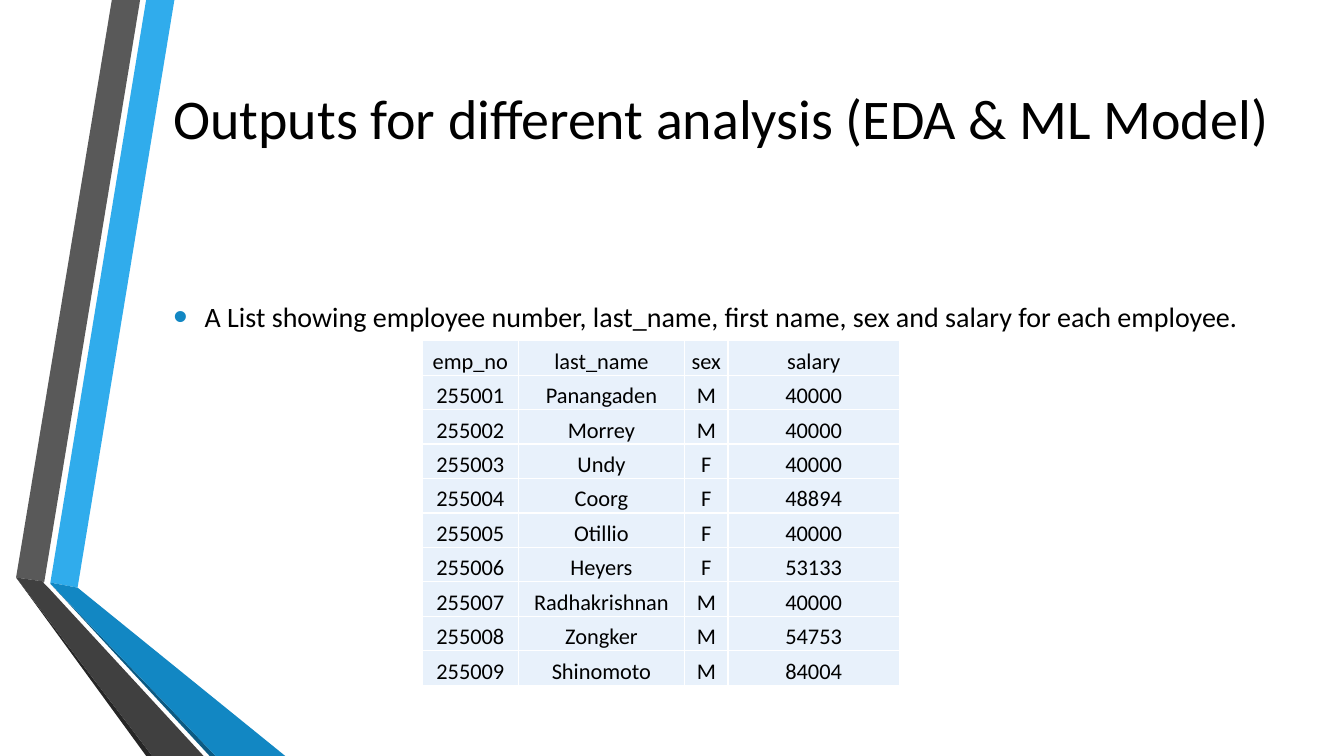
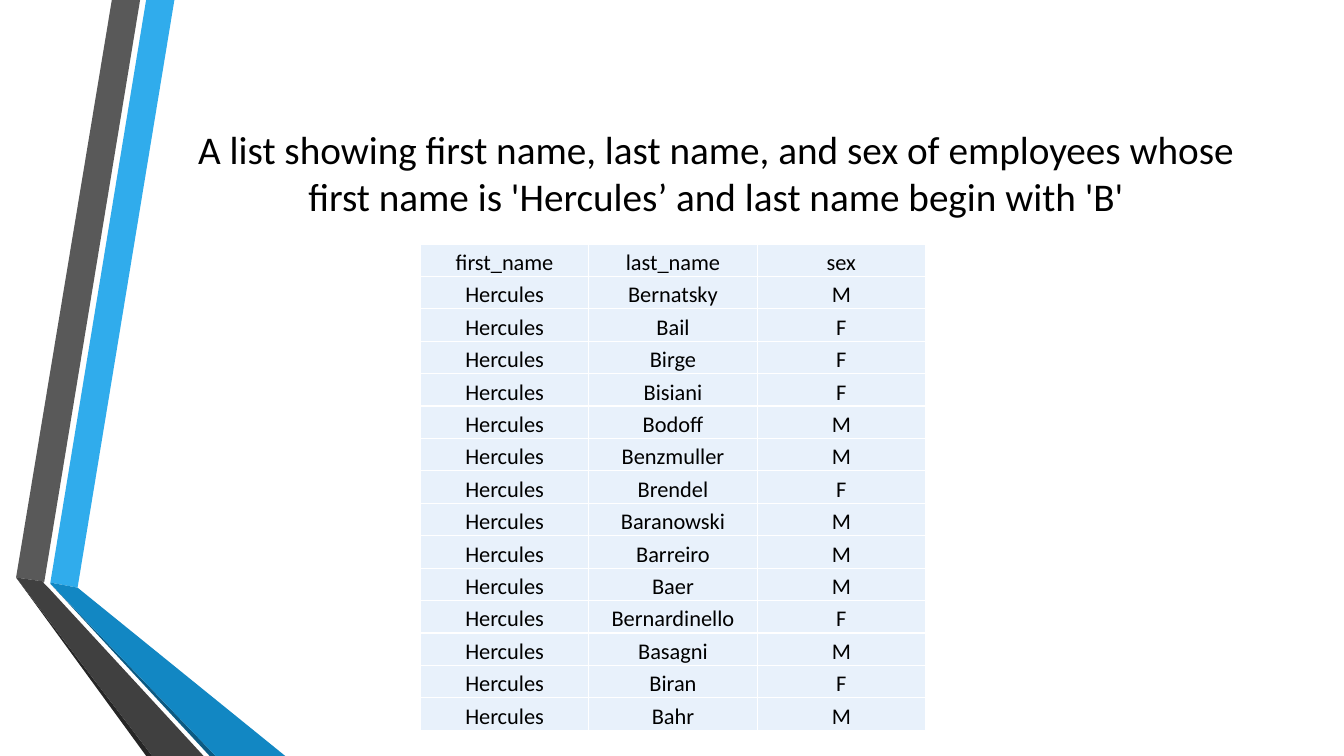
from dataclasses import dataclass

from lxml import etree
from pptx import Presentation
from pptx.dml.color import RGBColor
from pptx.enum.text import MSO_ANCHOR, MSO_AUTO_SIZE, PP_ALIGN
from pptx.oxml import parse_xml
from pptx.oxml.ns import nsdecls, qn
from pptx.util import Pt

LEFT, CENTER = PP_ALIGN.LEFT, PP_ALIGN.CENTER
TOP, MIDDLE, BOTTOM = MSO_ANCHOR.TOP, MSO_ANCHOR.MIDDLE, MSO_ANCHOR.BOTTOM
NO_FIT = MSO_AUTO_SIZE.NONE
TITLE_AND_CONTENT, TITLE_ONLY = 1, 5
EMU_PER_PX = 9144  # 100 px to the inch


@dataclass(frozen=True)
class Theme:
    font: str = "Calibri"
    text: str = "000000"
    accent: str = "1287C3"
    cell: str = "E8F1FB"
    border: str = "FFFFFF"
    border_pt: int = 1
    title_pt: int = 40
    long_title_pt: int = 28
    body_pt: int = 20
    table_pt: int = 16


THEME = Theme()
PAGE_SIZE = (1333, 750)

RIBBONS = [
    ("30ACEC", [(50, 578), (77, 583), (173, 0), (145, 0)]),
    ("595959", [(139, 0), (111, 0), (16, 573), (44, 577)]),
    ("262626", [(16, 573), (145, 750), (151, 750)]),
    ("0C5A82", [(50, 579), (208, 750), (214, 750)]),
    (THEME.accent, [(50, 579), (214, 750), (283, 750), (77, 583), (50, 578)]),
    ("404040", [(202, 750), (48, 583), (43, 578), (44, 577), (16, 573), (151, 750)]),
]

SALARIES = [
    ("emp_no", "last_name", "sex", "salary"),
    ("255001", "Panangaden", "M", "40000"),
    ("255002", "Morrey", "M", "40000"),
    ("255003", "Undy", "F", "40000"),
    ("255004", "Coorg", "F", "48894"),
    ("255005", "Otillio", "F", "40000"),
    ("255006", "Heyers", "F", "53133"),
    ("255007", "Radhakrishnan", "M", "40000"),
    ("255008", "Zongker", "M", "54753"),
    ("255009", "Shinomoto", "M", "84004"),
]

HERCULES = [
    ("Bernatsky", "M"), ("Bail", "F"), ("Birge", "F"), ("Bisiani", "F"),
    ("Bodoff", "M"), ("Benzmuller", "M"), ("Brendel", "F"), ("Baranowski", "M"),
    ("Barreiro", "M"), ("Baer", "M"), ("Bernardinello", "F"), ("Basagni", "M"),
    ("Biran", "F"), ("Bahr", "M"),
]

PAGES = [
    {
        "title": "Outputs for different analysis (EDA & ML Model)",
        "title_box": (162, 61, 1159, 111),
        "title_pt": THEME.title_pt,
        "align": LEFT,
        "bullet": "A List showing employee number, last_name, first name, "
                  "sex and salary for each employee.",
        "bullet_box": (162, 292, 1096, 342),
        "rows": SALARIES,
        "table_at": (419, 338),
        "table_height": 342,
        "columns": [95, 165, 43, 170],
    },
    {
        "title": "A list showing first name, last name, and sex of employees whose "
                 "first name is 'Hercules’ and last name begin with 'B'",
        "title_box": (162, 75, 1096, 192),
        "title_pt": THEME.long_title_pt,
        "align": CENTER,
        "rows": [("first_name", "last_name", "sex")]
                + [("Hercules", *person) for person in HERCULES],
        "table_at": (417, 242),
        "table_height": 483,
        "columns": [167] * 3,
    },
]


def px(length):
    return length * EMU_PER_PX


def rgb(colour):
    return RGBColor.from_string(colour)


def style_paragraph(para, size, align):
    para.alignment = align
    para.font.name = THEME.font
    para.font.size = Pt(size)
    para.font.color.rgb = rgb(THEME.text)


def fill_placeholder(holder, text, box, size, align, anchor):
    holder.left, holder.top, holder.width, holder.height = map(px, box)
    frame = holder.text_frame
    frame.text = text
    frame.word_wrap = True
    frame.auto_size = NO_FIT
    frame.vertical_anchor = anchor
    para = frame.paragraphs[0]
    style_paragraph(para, size, align)
    return para


def add_bullet(para):
    para.space_before = Pt(THEME.body_pt * 0.2)
    para.space_after = Pt(6)
    props = para._p.get_or_add_pPr()
    props.set("marL", str(px(31)))
    props.set("indent", str(px(-31)))
    colour = etree.SubElement(props, qn("a:buClr"))
    etree.SubElement(colour, qn("a:srgbClr"), val=THEME.accent)
    etree.SubElement(props, qn("a:buSzPct"), val="145000")
    etree.SubElement(props, qn("a:buFont"), typeface="Arial")
    etree.SubElement(props, qn("a:buChar"), char="•")


def add_borders(cell):
    props = cell._tc.get_or_add_tcPr()
    for side in "LRTB":
        props.append(parse_xml(
            f'<a:ln{side} {nsdecls("a")} w="{Pt(THEME.border_pt)}"><a:solidFill>'
            f'<a:srgbClr val="{THEME.border}"/></a:solidFill></a:ln{side}>'))


def style_cell(cell, text):
    cell.text = text
    cell.vertical_anchor = BOTTOM
    cell.margin_left = cell.margin_top = cell.margin_right = px(1)
    cell.margin_bottom = 0
    style_paragraph(cell.text_frame.paragraphs[0], THEME.table_pt, CENTER)
    add_borders(cell)
    cell.fill.solid()
    cell.fill.fore_color.rgb = rgb(THEME.cell)


def add_data_table(page, rows, at, height, columns):
    frame = page.shapes.add_table(len(rows), len(columns), *map(px, at),
                                  px(sum(columns)), px(height))
    table = frame.table
    table.first_row = table.horz_banding = False
    for column, width in zip(table.columns, columns):
        column.width = px(width)
    for r, row in enumerate(rows):
        for c, text in enumerate(row):
            style_cell(table.cell(r, c), text)


def put_ribbons_on_master(deck, page):
    """Draw the ribbons on a page, then move them behind everything on the master."""
    tree = deck.slide_master.shapes.element
    for order, (colour, points) in enumerate(RIBBONS):
        builder = page.shapes.build_freeform(*points[0], scale=EMU_PER_PX)
        builder.add_line_segments(points[1:], close=True)
        ribbon = builder.convert_to_shape()
        ribbon.name = f"Ribbon {order + 1}"
        ribbon.shadow.inherit = False
        ribbon.fill.solid()
        ribbon.fill.fore_color.rgb = rgb(colour)
        ribbon.line.fill.background()
        ribbon.element.nvSpPr.cNvPr.set("id", str(100 + order))
        tree.insert(2 + order, ribbon.element)


def add_page(deck, content):
    has_bullet = "bullet" in content
    layout = deck.slide_layouts[TITLE_AND_CONTENT if has_bullet else TITLE_ONLY]
    page = deck.slides.add_slide(layout)
    fill_placeholder(page.shapes.title, content["title"], content["title_box"],
                     content["title_pt"], content["align"], MIDDLE)
    if has_bullet:
        add_bullet(fill_placeholder(page.placeholders[1], content["bullet"],
                                    content["bullet_box"], THEME.body_pt, LEFT, TOP))
    add_data_table(page, content["rows"], content["table_at"],
                   content["table_height"], content["columns"])
    return page


def main():
    deck = Presentation()
    deck.slide_width, deck.slide_height = map(px, PAGE_SIZE)
    pages = [add_page(deck, content) for content in PAGES]
    put_ribbons_on_master(deck, pages[0])
    deck.save("out.pptx")


if __name__ == "__main__":
    main()
